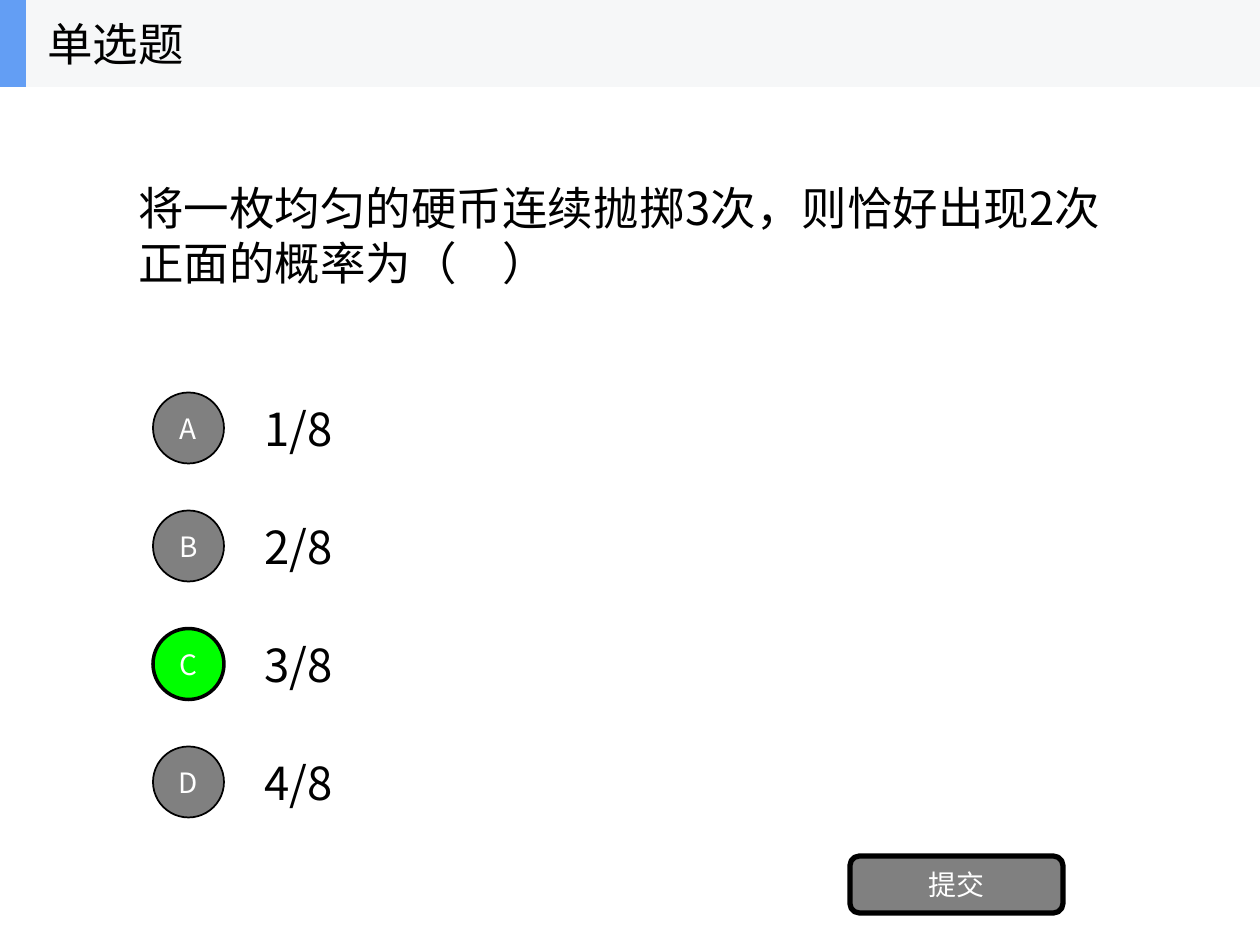
from lxml.etree import SubElement
from pptx import Presentation
from pptx.dml.color import RGBColor
from pptx.enum.shapes import MSO_SHAPE
from pptx.enum.text import MSO_ANCHOR, PP_ALIGN
from pptx.oxml.ns import qn
from pptx.util import Pt

EMU_PER_PX = 914400 / 126
FONT = "Noto Sans CJK SC"
COLORS = {
    "background": "FFFFFF",
    "text": "000000",
    "outline": "000000",
    "button": "808080",
    "button_text": "FFFFFF",
    "correct": "00FF00",
    "header": "F6F7F8",
    "accent": "639EF4",
}
BODY = {"size": Pt(26), "color": "text", "align": PP_ALIGN.LEFT}
LABEL = {"size": Pt(16), "color": "button_text", "align": PP_ALIGN.CENTER}

HEADER_BOX = (0, 0, 1260, 87)
QUESTION_BOX = (126, 87, 1008, 295)
OPTIONS_BOX = (153, 384, 981, 442)
SUBMIT_BOX = (850, 856, 213, 57)
OPTIONS = {"A": "1/8", "B": "2/8", "C": "3/8", "D": "4/8"}
CORRECT = "C"


def px(length):
    return round(length * EMU_PER_PX)


def color(name):
    return RGBColor.from_string(COLORS[name])


def write_text(shape, text, style):
    frame = shape.text_frame
    frame.word_wrap = True
    frame.vertical_anchor = MSO_ANCHOR.MIDDLE
    paragraph = frame.paragraphs[0]
    paragraph.alignment = style["align"]
    run = paragraph.add_run()
    run.text = text
    for attribute, value in {"size": style["size"], "name": FONT}.items():
        setattr(run.font, attribute, value)
    run.font.color.rgb = color(style["color"])
    # East Asian glyphs take their typeface from a separate element.
    SubElement(run.font._element, qn("a:ea"), typeface=FONT)


def add_text(shapes, box, text):
    write_text(shapes.add_textbox(*map(px, box)), text, BODY)


def add_block(shapes, kind, box, fill, line_width=0):
    """Add a filled preset shape, outlined only when line_width (points) is given."""
    shape = shapes.add_shape(kind, *map(px, box))
    shape.shadow.inherit = False
    shape.fill.solid()
    shape.fill.fore_color.rgb = color(fill)
    if line_width:
        shape.line.width = Pt(line_width)
        shape.line.color.rgb = color("outline")
    else:
        shape.line.fill.background()
    return shape


def add_header(slide, box, title):
    left, top, width, height = box
    shapes = slide.shapes.add_group_shape().shapes
    add_block(shapes, MSO_SHAPE.RECTANGLE, box, "header")
    add_block(shapes, MSO_SHAPE.RECTANGLE, (left, top, 26, height), "accent")
    add_text(shapes, (left + 35, top, 262, height), title)


def add_options(slide, box):
    left, top, width, height = box
    row_height, diameter, text_offset = 88, 71, 99
    pitch = (height - row_height) / (len(OPTIONS) - 1)
    for index, (letter, answer) in enumerate(OPTIONS.items()):
        row_top = top + index * pitch
        add_text(slide.shapes,
                 (left + text_offset, row_top, width - text_offset, row_height), answer)
        fill, line_width = ("correct", 2) if letter == CORRECT else ("button", 1)
        circle_top = row_top + (row_height - diameter) / 2
        circle = add_block(slide.shapes, MSO_SHAPE.OVAL,
                           (left, circle_top, diameter, diameter), fill, line_width)
        write_text(circle, letter, LABEL)


def add_submit_button(slide, box):
    button = add_block(slide.shapes, MSO_SHAPE.ROUNDED_RECTANGLE, box, "button", 3)
    write_text(button, "提交", LABEL)


def main():
    presentation = Presentation()
    presentation.slide_width, presentation.slide_height = px(1260), px(945)
    slide = presentation.slides.add_slide(presentation.slide_layouts[6])
    slide.background.fill.solid()
    slide.background.fill.fore_color.rgb = color("background")
    add_text(slide.shapes, QUESTION_BOX,
             "将一枚均匀的硬币连续抛掷3次，则恰好出现2次正面的概率为（　）")
    add_options(slide, OPTIONS_BOX)
    add_submit_button(slide, SUBMIT_BOX)
    add_header(slide, HEADER_BOX, "单选题")
    presentation.save("out.pptx")


if __name__ == "__main__":
    main()
